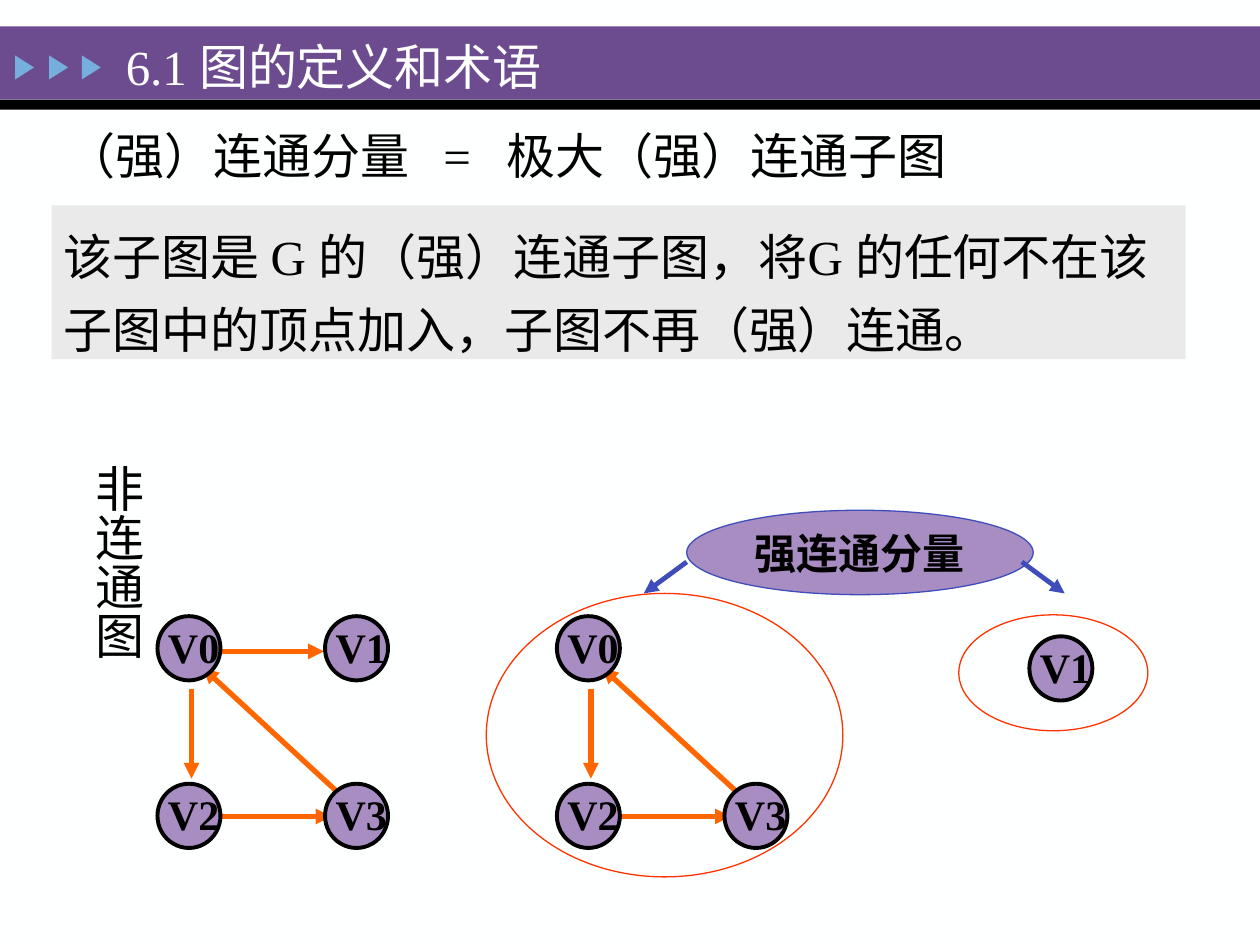
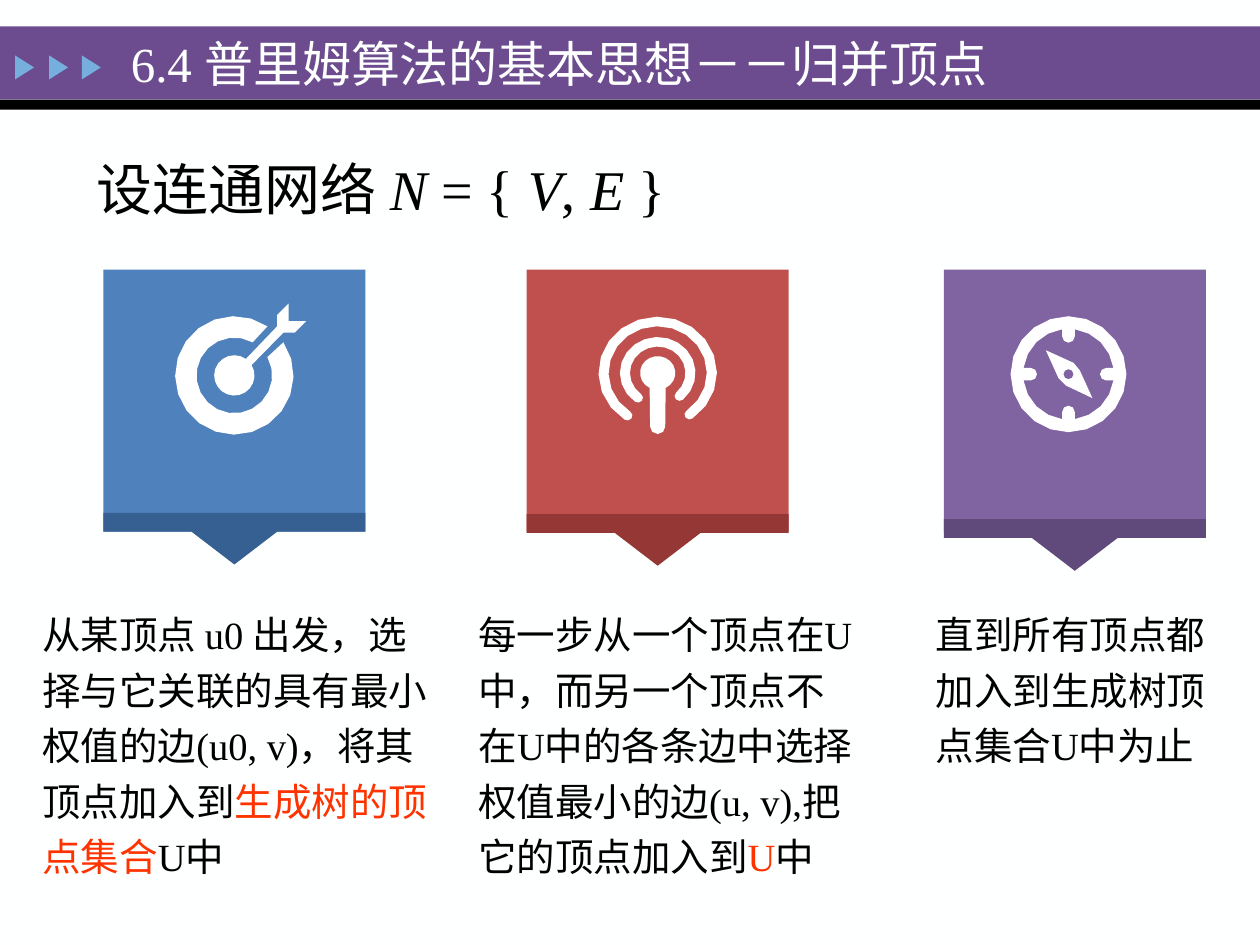
from math import cos, radians, sin

from lxml.etree import SubElement
from pptx import Presentation
from pptx.dml.color import RGBColor
from pptx.enum.shapes import MSO_CONNECTOR as Connector, MSO_SHAPE as Preset
from pptx.enum.text import MSO_ANCHOR as Anchor, PP_ALIGN as Align
from pptx.oxml.ns import qn
from pptx.util import Inches, Pt

FONT = "Times New Roman"
COLORS = {
    "background": "FEFFFF", "band": "6C4C8F", "black": "000000", "marker": "76AEDD",
    "panel": "EAEAEA", "vertex": "A78DC2", "edge": "FF6600", "callout": "3E4DBA",
    "red": "FF3300", "white": "FFFFFF",
    "blue": "4F81BD", "dark_blue": "376092",
    "brick": "C0504D", "dark_brick": "953735",
    "purple": "8064A2", "dark_purple": "604A7B",
}
GRID = 1.33
VERTEX_PLACES = {"V0": (0, 0), "V1": (GRID, 0), "V2": (0, GRID), "V3": (GRID, GRID)}
EDGES = {
    ("V0", "V2"): ((0.27, 0.58), (0.27, 1.29)),
    ("V2", "V3"): ((0.5, 1.59), (1.38, 1.59)),
    ("V0", "V1"): ((0.5, 0.28), (1.32, 0.28)),
    ("V3", "V0"): ((1.53, 1.49), (0.36, 0.41)),
}


def color(name):
    return RGBColor.from_string(COLORS[name])


def style_shape(shape, fill=None, line=None, line_width=0.75):
    shape.shadow.inherit = False
    if fill:
        shape.fill.solid()
        shape.fill.fore_color.rgb = color(fill)
    else:
        shape.fill.background()
    if line:
        shape.line.color.rgb = color(line)
        shape.line.width = Pt(line_width)
    else:
        shape.line.fill.background()


def add_preset(slide, preset, box, fill=None, line=None, line_width=0.75):
    shape = slide.shapes.add_shape(preset, *map(Inches, box))
    style_shape(shape, fill, line, line_width)
    return shape


def write(shape, runs, size, text_color="black", bold=False, anchor=Anchor.TOP,
          align=Align.LEFT, spacing=None, wrap=True):
    text_frame = shape.text_frame
    text_frame.word_wrap = wrap
    text_frame.vertical_anchor = anchor
    paragraph = text_frame.paragraphs[0]
    paragraph.alignment = align
    if spacing:
        paragraph.line_spacing = spacing
    for text, changes in runs:
        run = paragraph.add_run()
        run.text = text
        run.font.name = FONT
        run.font.size = Pt(changes.get("size", size))
        run.font.bold = bold
        run.font.italic = changes.get("italic", False)
        run.font.color.rgb = color(changes.get("color", text_color))


def add_text(slide, box, runs, size, **options):
    text_box = slide.shapes.add_textbox(*map(Inches, box))
    write(text_box, runs, size, **options)
    return text_box


def add_arrow(slide, start, end, line, width):
    points = map(Inches, (*start, *end))
    connector = slide.shapes.add_connector(Connector.STRAIGHT, *points)
    connector.line.color.rgb = color(line)
    connector.line.width = Pt(width)
    properties = connector.element.spPr
    SubElement(properties.find(qn("a:ln")), qn("a:tailEnd"), type="triangle")
    SubElement(properties, qn("a:effectLst"))


def add_outline(slide, contours, fill):
    builder = None
    for contour in contours:
        points = [(Inches(x), Inches(y)) for x, y in contour]
        if builder is None:
            builder = slide.shapes.build_freeform(*points[0])
        else:
            builder.move_to(*points[0])
        builder.add_line_segments(points[1:], close=True)
    style_shape(builder.convert_to_shape(), fill)


def polar(center, radius, degrees):
    angle = radians(degrees)
    return center[0] + radius * cos(angle), center[1] - radius * sin(angle)


def arc(center, radius, start, end):
    step_angle = 18 if radius > 0.1 else 45
    steps = max(1, round(abs(end - start) / step_angle))
    return [polar(center, radius, start + (end - start) * step / steps)
            for step in range(steps + 1)]


def rounded_band(center, outer, inner, start, end):
    middle, cap = (outer + inner) / 2, (outer - inner) / 2
    return (arc(center, outer, start, end)
            + arc(polar(center, middle, end), cap, end, end + 180)[1:-1]
            + arc(center, inner, end, start)
            + arc(polar(center, middle, start), cap, start + 180, start + 360)[1:-1])


def target_icon():
    center = (1.86, 2.98)
    ring = arc(center, 0.47, 56, 394) + arc(center, 0.3, 389, 61)
    dart = [(2.25, 2.64), (2.34, 2.64), (2.43, 2.55), (2.29, 2.55),
            (2.29, 2.41), (2.2, 2.5), (2.2, 2.59)]
    return [ring, arc(center, 0.16, 55, 391) + dart]


def antenna_icon():
    center = (5.22, 2.96)
    squash = 0.95
    mast = arc(center, 0.14, -63, 243) + arc((center[0], 3.41), 0.06, 180, 360)
    contours = [rounded_band(center, 0.47, 0.39, -54, 236),
                rounded_band(center, 0.3, 0.22, -48, 233), mast]
    return [[(x, center[1] + squash * (y - center[1])) for x, y in contour]
            for contour in contours]


def compass_icon():
    center = (8.48, 2.97)
    dial = []
    for tick in range(90, 450, 90):
        dial += arc(center, 0.36, tick - 82, tick - 8)
        dial += arc(polar(center, 0.3, tick), 0.05, tick - 90, tick - 270)
    needle = [(8.52, 2.88), (8.3, 2.78), (8.4, 3), (8.46, 3.06), (8.67, 3.16), (8.57, 2.94)]
    return [arc(center, 0.46, 0, 360), dial, needle, arc(center, 0.04, 0, 360)]


def add_shared_band(slide):
    layout = slide.slide_layout
    layout.background.fill.solid()
    layout.background.fill.fore_color.rgb = color("background")
    shapes = [add_preset(slide, Preset.RECTANGLE, (0, 0.21, 10, 0.58), "band"),
              add_preset(slide, Preset.RECTANGLE, (0, 0.79, 10, 0.08), "black")]
    for left in (0.1, 0.37, 0.63):
        marker = add_preset(slide, Preset.ISOSCELES_TRIANGLE, (left, 0.46, 0.19, 0.15), "marker")
        marker.rotation = 90
        shapes.append(marker)
    for shape in shapes:
        layout.element.cSld.spTree.append(shape.element)


def add_title(slide, title, box):
    add_text(slide, box, [(title, {})], 28, text_color="background", anchor=Anchor.MIDDLE)


def add_vertex(slide, name, left, top):
    add_preset(slide, Preset.OVAL, (left, top, 0.5, 0.51), "vertex", "black", 2.25)
    add_text(slide, (left - 0.05, top - 0.01, 0.71, 0.5),
             [(" ", {"size": 10}), (name, {})], 24, bold=True)


def add_graph(slide, left, top, names):
    for ends, points in EDGES.items():
        if set(ends) <= set(names):
            start, end = [(left + x, top + y) for x, y in points]
            add_arrow(slide, start, end, "edge", 3)
    for name in names:
        x, y = VERTEX_PLACES[name]
        add_vertex(slide, name, left + x, top + y)


def add_card(slide, left, pointer_top, fill, dark_fill, icon):
    add_preset(slide, Preset.RECTANGLE, (left, 2.14, 2.08, 2.08), fill)
    pointer = [(0, 0), (2.08, 0), (2.08, 0.15), (1.38, 0.15),
               (1.04, 0.41), (0.7, 0.15), (0, 0.15)]
    add_outline(slide, [[(left + x, pointer_top + y) for x, y in pointer]], dark_fill)
    add_outline(slide, icon, "white")


def build_components_slide(slide):
    equation = add_text(slide, (0.43, 0.95, 7.86, 0.57), [], 28)
    properties = equation.text_frame.paragraphs[0]._p.get_or_add_pPr()
    tabs = SubElement(properties, qn("a:tabLst"))
    for position in (2.99, 3.49):
        SubElement(tabs, qn("a:tab"), pos=str(Inches(position)), algn="l")
    write(equation, [("（强）连通分量\t=\t", {}), ("极大（强）连通子图", {})], 28)

    panel = add_preset(slide, Preset.RECTANGLE, (0.41, 1.63, 9, 1.22), "panel")
    definition = "该子图是 G 的（强）连通子图，将G 的任何不在该子图中的顶点加入，子图不再（强）连通。"
    write(panel, [(definition, {})], 28, spacing=1.25)
    add_title(slide, "6.1 图的定义和术语", (0.9, 0.15, 6.73, 0.75))

    callout = add_preset(slide, Preset.OVAL, (5.45, 4.05, 2.75, 0.67), "vertex", "callout")
    write(callout, [("强连通分量", {})], 24, bold=True, anchor=Anchor.MIDDLE,
          align=Align.CENTER, wrap=False)
    for start, end in ((5.45, 5.11), (8.11, 8.45)):
        add_arrow(slide, (start, 4.46), (end, 4.71), "callout", 2.75)

    add_graph(slide, 1.25, 4.89, ("V0", "V1", "V2", "V3"))
    add_graph(slide, 4.42, 4.89, ("V0", "V2", "V3"))
    add_vertex(slide, "V1", 8.17, 5.05)
    for component in ((3.86, 4.71, 2.83, 2.25), (7.61, 4.88, 1.5, 0.92)):
        add_preset(slide, Preset.OVAL, component, line="red")

    label = add_text(slide, (0.55, 3.59, 0.67, 2.08), [("非连通图", {})], 28)
    label.element.txBody.bodyPr.set("vert", "eaVert")


def build_prim_slide(slide):
    italic, red = {"italic": True}, {"color": "red"}
    network = [("设连通网络 ", {}), ("N", italic), (" = { ", {}), ("V", italic),
               (", ", {}), ("E", italic), (" }", {})]
    add_text(slide, (0.67, 1.12, 9.65, 0.79), network, 32, align=Align.JUSTIFY, spacing=1.1)
    add_title(slide, "6.4 普里姆算法的基本思想－－归并顶点", (0.94, 0.22, 7.56, 0.56))

    add_card(slide, 0.82, 4.07, "blue", "dark_blue", target_icon())
    add_card(slide, 7.49, 4.12, "purple", "dark_purple", compass_icon())
    add_card(slide, 4.18, 4.08, "brick", "dark_brick", antenna_icon())

    steps = [
        (0.24, 3.34, 2.32, [
            ("从某顶点 u0 出发，选择与它关联的具有最小权值的边(u0, v)，将其顶点加入到", {}),
            ("生成树的顶点集合", red), ("U中", {})]),
        (3.7, 3.19, 2.32, [
            ("每一步从一个顶点在U中，而另一个顶点不在U中的各条边中选择权值最小的边(u, v),把它的顶点加入到", {}),
            ("U", red), ("中", {})]),
        (7.33, 2.4, 1.43, [("直到所有顶点都加入到生成树顶点集合U中为止", {})]),
    ]
    for left, width, height, runs in steps:
        add_text(slide, (left, 4.73, width, height), runs, 22, spacing=1.2)


def main():
    presentation = Presentation()
    presentation.slide_width = Inches(10)
    presentation.slide_height = Inches(7.5)
    blank = presentation.slide_layouts[6]
    components_slide = presentation.slides.add_slide(blank)
    add_shared_band(components_slide)
    build_components_slide(components_slide)
    build_prim_slide(presentation.slides.add_slide(blank))
    presentation.save("out.pptx")


if __name__ == "__main__":
    main()
